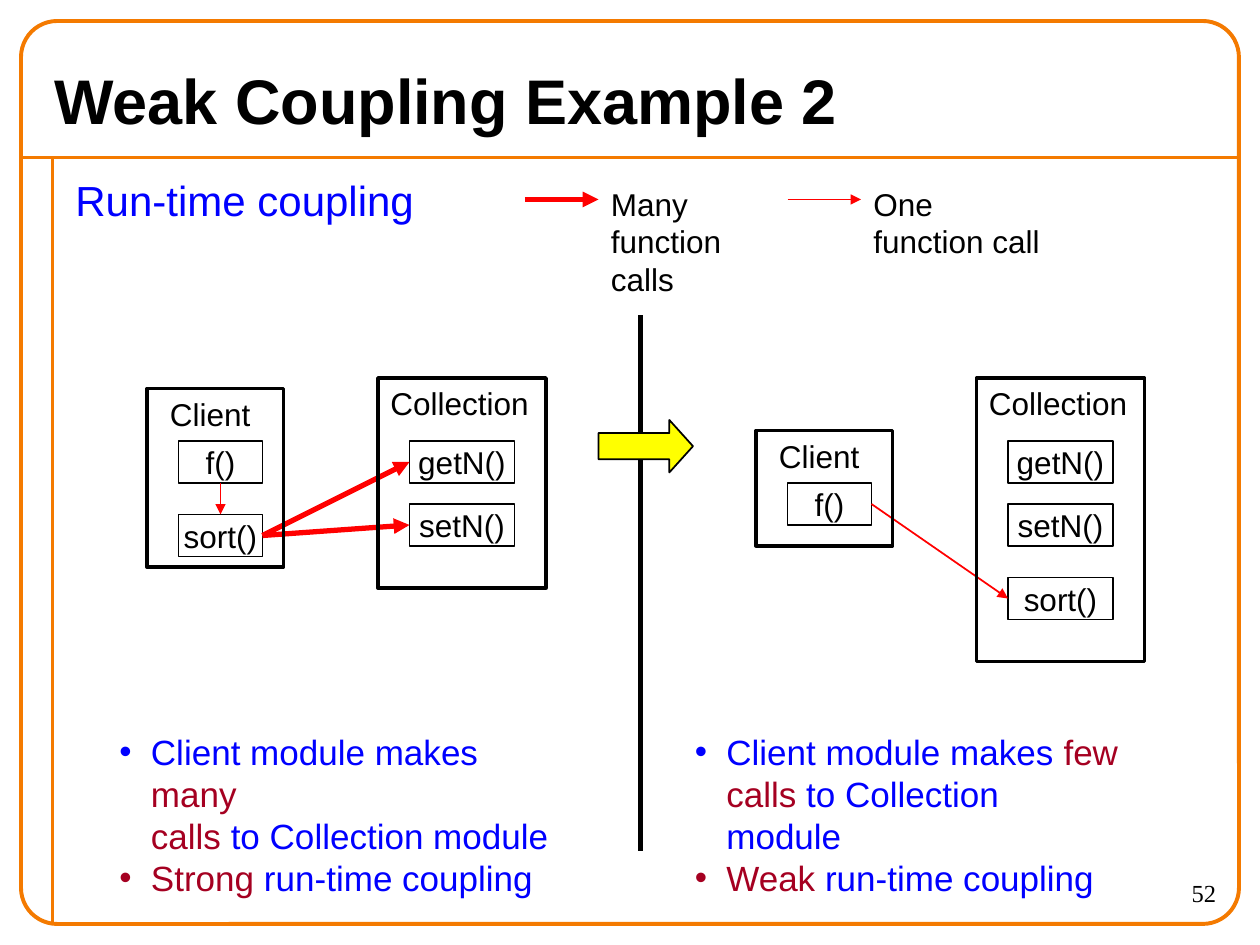
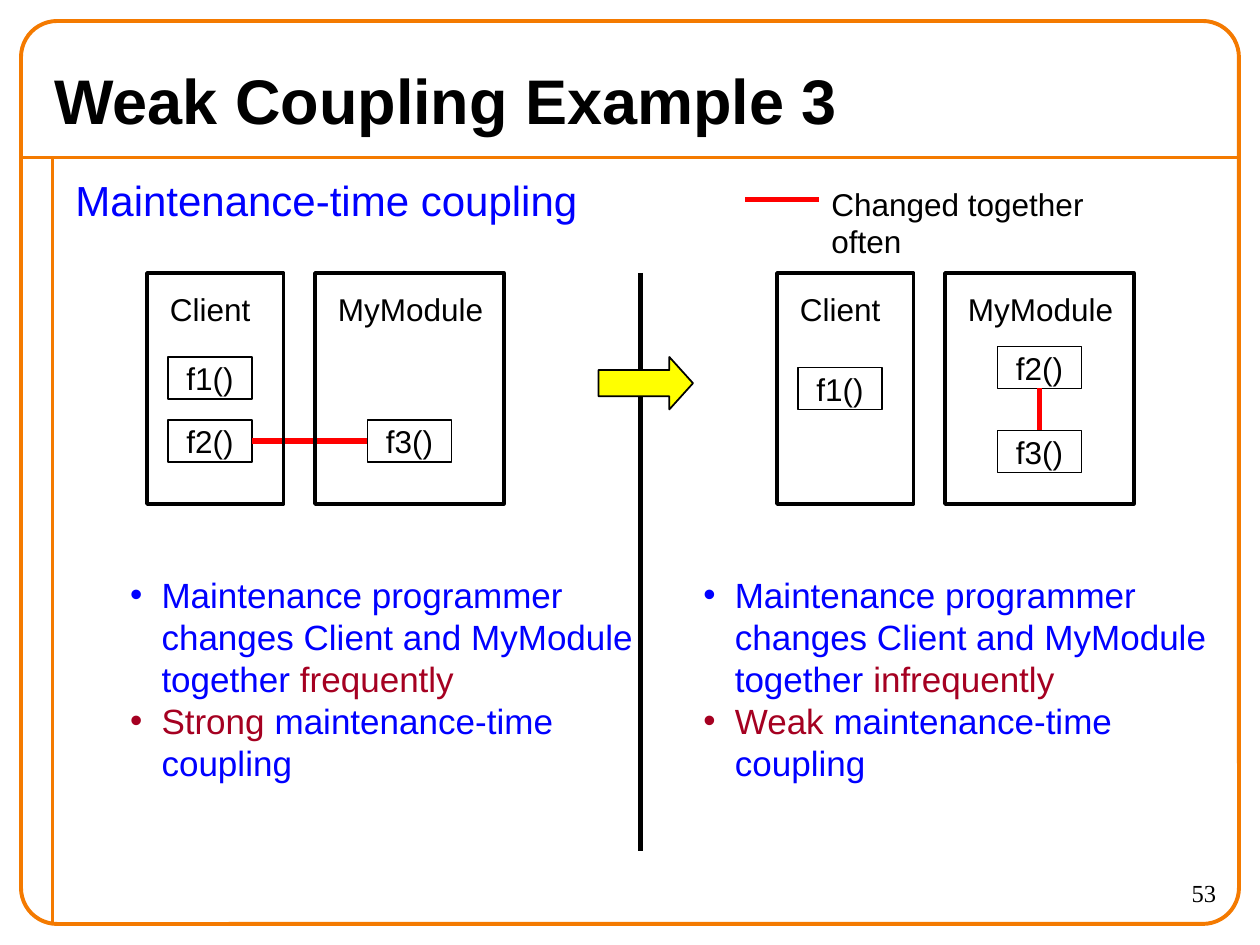
from pptx import Presentation
from pptx.dml.color import RGBColor
from pptx.enum.shapes import MSO_CONNECTOR, MSO_SHAPE
from pptx.enum.text import MSO_ANCHOR, MSO_AUTO_SIZE, PP_ALIGN
from pptx.oxml.ns import qn
from pptx.oxml.xmlchemy import OxmlElement
from pptx.util import Inches, Pt

STRAIGHT = MSO_CONNECTOR.STRAIGHT
RECTANGLE = MSO_SHAPE.RECTANGLE
ROUNDED = MSO_SHAPE.ROUNDED_RECTANGLE
RIGHT_ARROW = MSO_SHAPE.RIGHT_ARROW
TOP, MIDDLE = MSO_ANCHOR.TOP, MSO_ANCHOR.MIDDLE
LEFT, CENTER, RIGHT = PP_ALIGN.LEFT, PP_ALIGN.CENTER, PP_ALIGN.RIGHT
GROW = MSO_AUTO_SIZE.SHAPE_TO_FIT_TEXT
SIDE_TOP, SIDE_LEFT, SIDE_BOTTOM, SIDE_RIGHT = range(4)

WIDTH, HEIGHT = Inches(10), Inches(7.5)
COLUMNS, ROWS = 120, 90
HALF = 60
LEGEND_ROW = 19
LEGEND_LENGTH = 7
DIVIDER_COLUMN = 61
THICK, THIN = 3, 1

COLORS = {
    "ink": "000000",
    "frame": "F47A00",
    "body": "0000FF",
    "accent": "A50021",
    "call": "FF0000",
    "arrow": "FFFF00",
}
TITLE = {"size": Pt(36), "bold": True, "name": "Arial"}
BODY = {"size": Pt(24), "name": "Arial"}
POINT = {"size": Pt(20), "name": "Arial"}
LABEL = {"size": Pt(18), "name": "Arial"}
NUMBER = {"size": Pt(14), "name": "Times New Roman"}

LABEL_WIDTHS = {"Client": 10.08, "Collection": 15.6, "MyModule": 16.2}


def color(name):
    return RGBColor.from_string(COLORS[name])


def across(columns):
    return round(WIDTH * columns / COLUMNS)


def down(rows):
    return round(HEIGHT * rows / ROWS)


def place(left, top, width, height):
    return across(left), down(top), across(width), down(height)


def add_spans(para, spans, style):
    for text, ink in spans:
        for index, part in enumerate(text.split("\n")):
            if index:
                para.add_line_break()
            span = para.add_run()
            span.text = part
            for key, value in style.items():
                setattr(span.font, key, value)
            span.font.color.rgb = color(ink)


def add_text(page, area, text, style, ink="ink", align=LEFT, anchor=TOP, wrap=True):
    box = page.shapes.add_textbox(*place(*area))
    frame = box.text_frame
    frame.word_wrap = wrap
    frame.vertical_anchor = anchor
    if not wrap:
        frame.auto_size = GROW
    para = frame.paragraphs[0]
    para.alignment = align
    add_spans(para, [(text, ink)], style)


def add_outline(page, kind, area, ink="ink", weight=THIN, fill=None):
    shape = page.shapes.add_shape(kind, *place(*area))
    shape.shadow.inherit = False
    if fill:
        shape.fill.solid()
        shape.fill.fore_color.rgb = color(fill)
    else:
        shape.fill.background()
    shape.line.color.rgb = color(ink)
    shape.line.width = Pt(weight)
    return shape


def add_line(page, start, end, ink="ink", weight=THICK, arrow=False):
    line = page.shapes.add_connector(
        STRAIGHT, across(start[0]), down(start[1]), across(end[0]), down(end[1])
    )
    line.line.color.rgb = color(ink)
    line.line.width = Pt(weight)
    properties = line._element.spPr
    if arrow:
        head = OxmlElement("a:tailEnd")
        head.set("type", "triangle")
        properties.find(qn("a:ln")).append(head)
    properties.append(OxmlElement("a:effectLst"))
    return line


def add_link(page, source, source_side, target, target_side, weight=THICK, arrow=False):
    link = add_line(page, (0, 0), (1, 1), "call", weight, arrow)
    link.begin_connect(source, source_side)
    link.end_connect(target, target_side)


def add_function(page, name, left, top, width=8):
    box = add_outline(page, RECTANGLE, (left, top, width, 4))
    box.text_frame.word_wrap = False
    box.text_frame.vertical_anchor = MIDDLE
    para = box.text_frame.paragraphs[0]
    para.alignment = CENTER
    add_spans(para, [(name, "ink")], LABEL)
    return box


def add_module(page, name, area, shift=(1, 1)):
    add_outline(page, RECTANGLE, area, weight=2)
    label = (area[0] + shift[0], area[1] + shift[1], LABEL_WIDTHS[name], 4.8)
    add_text(page, label, name, LABEL, wrap=False)


def add_legend(page, left, text, width, height, weight=THICK, arrow=False):
    end = left + LEGEND_LENGTH
    add_line(page, (left, LEGEND_ROW), (end, LEGEND_ROW), "call", weight, arrow)
    add_text(page, (end, LEGEND_ROW - 2, width, height), text, LABEL, wrap=False)


def add_points(page, area, points):
    box = page.shapes.add_textbox(*place(*area))
    frame = box.text_frame
    frame.word_wrap = False
    frame.auto_size = GROW
    for index, spans in enumerate(points):
        para = frame.add_paragraph() if index else frame.paragraphs[0]
        properties = para._p.get_or_add_pPr()
        properties.set("marL", str(Inches(0.25)))
        properties.set("indent", str(-Inches(0.25)))
        bullet_color = OxmlElement("a:buClr")
        swatch = OxmlElement("a:srgbClr")
        swatch.set("val", COLORS[spans[0][1]])
        bullet_color.append(swatch)
        bullet_font = OxmlElement("a:buFont")
        bullet_font.set("typeface", "Arial")
        bullet = OxmlElement("a:buChar")
        bullet.set("char", "•")
        for element in (bullet_color, bullet_font, bullet):
            properties.append(element)
        add_spans(para, spans, POINT)


def add_page(deck, title, topic, number):
    page = deck.slides.add_slide(deck.slide_layouts[6])
    add_line(page, (2, 15), (118, 15), "frame", 2.25)
    add_line(page, (5, 15), (5, 88), "frame", 2.25)
    border = add_outline(page, ROUNDED, (2, 2, 116, 86), "frame", 2.25)
    border.adjustments[0] = 0.04
    add_text(page, (105, 83, 12, 5), str(number), NUMBER, align=RIGHT)
    add_text(page, (4, 5, 112, 9), title, TITLE, anchor=MIDDLE)
    add_text(page, (6, 16, 111, 72), topic, BODY, "body")
    return page


def add_divider(page, top, arrow_top):
    add_line(page, (DIVIDER_COLUMN, top), (DIVIDER_COLUMN, 81))
    arrow = add_outline(page, RIGHT_ARROW, (57, arrow_top, 9, 5), fill="arrow")
    arrow.adjustments[1] = 0.45


def run_time_page(deck):
    page = add_page(deck, "Weak Coupling Example 2", "Run-time coupling", 52)
    add_legend(page, 50, "Many\nfunction calls", 19.68, 8.4, THICK, True)
    add_legend(page, 75, "One\nfunction call", 18.24, 8.4, THIN, True)

    caller = add_function(page, "f()", 17, 42)
    sorter = add_function(page, "sort()", 17, 49)
    accessors = [
        add_function(page, name, 39, 42 + 6 * index, 10)
        for index, name in enumerate(("getN()", "setN()"))
    ]
    for accessor in accessors:
        add_link(page, sorter, SIDE_RIGHT, accessor, SIDE_LEFT, THICK, True)
    add_link(page, caller, SIDE_BOTTOM, sorter, SIDE_TOP, THIN, True)
    add_module(page, "Client", (14, 37, 13, 17), (1, 0))
    add_module(page, "Collection", (36, 36, 16, 20), (0, 0))

    add_divider(page, 30, 40)

    caller = add_function(page, "f()", 75, 46)
    sorter = add_function(page, "sort()", 96, 55, 10)
    for index, name in enumerate(("getN()", "setN()")):
        add_function(page, name, 96, 42 + 6 * index, 10)
    add_link(page, caller, SIDE_RIGHT, sorter, SIDE_LEFT, THIN, True)
    add_module(page, "Client", (72, 41, 13, 11), (1, 0))
    add_module(page, "Collection", (93, 36, 16, 27), (0, 0))

    for left, width, amount, strength in (
        (10.2, 45.6, "many", "Strong"),
        (65, 43.2, "few", "Weak"),
    ):
        add_points(page, (left, 69, width, 13.2), [
            [("Client module makes ", "body"), (amount + "\ncalls", "accent"),
             (" to Collection module", "body")],
            [(strength, "accent"), (" run-time coupling", "body")],
        ])


def maintenance_page(deck):
    page = add_page(deck, "Weak Coupling Example 3", "Maintenance-time coupling", 53)
    add_legend(page, 71, "Changed together often", 33.84, 4.8)

    add_function(page, "f1()", 16, 34)
    second = add_function(page, "f2()", 16, 40)
    third = add_function(page, "f3()", 35, 40)
    add_link(page, second, SIDE_RIGHT, third, SIDE_LEFT)

    add_function(page, "f1()", 16 + HALF, 35)
    second = add_function(page, "f2()", 95, 33)
    third = add_function(page, "f3()", 95, 41)
    add_link(page, second, SIDE_BOTTOM, third, SIDE_TOP)

    for offset in (0, HALF):
        add_module(page, "Client", (14 + offset, 26, 13, 22))
        add_module(page, "MyModule", (30 + offset, 26, 18, 22))
    add_divider(page, 26, 34)

    for left, pace, strength in (
        (11.2, "frequently", "Strong"),
        (65.8, "infrequently", "Weak"),
    ):
        add_points(page, (left, 54, 50.3, 21.2), [
            [("Maintenance programmer\nchanges Client and MyModule\ntogether ", "body"),
             (pace, "accent")],
            [(strength, "accent"), (" maintenance-time\ncoupling", "body")],
        ])


def main():
    deck = Presentation()
    deck.slide_width, deck.slide_height = WIDTH, HEIGHT
    run_time_page(deck)
    maintenance_page(deck)
    deck.save("out.pptx")


if __name__ == "__main__":
    main()
